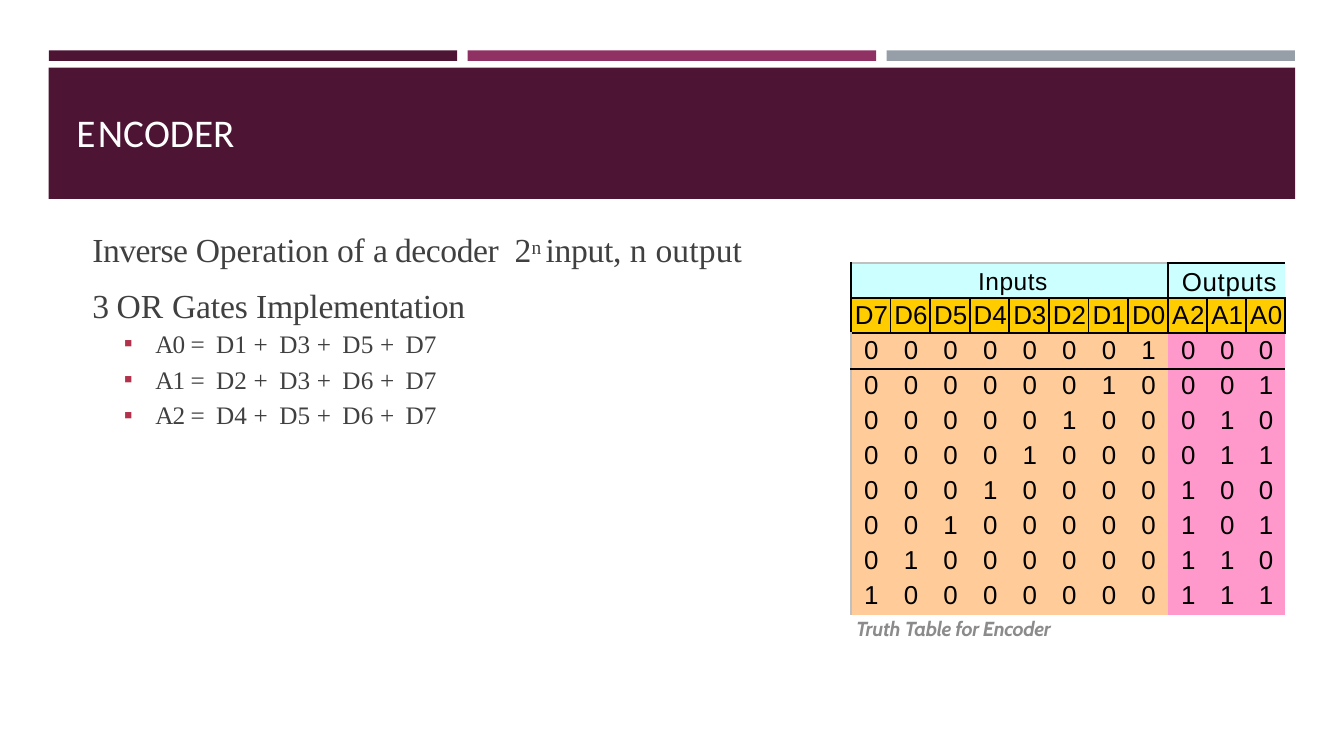
from dataclasses import dataclass
from typing import NamedTuple

from lxml.etree import SubElement
from pptx import Presentation
from pptx.dml.color import RGBColor
from pptx.enum.shapes import MSO_SHAPE
from pptx.enum.text import MSO_ANCHOR, PP_ALIGN
from pptx.oxml.ns import qn
from pptx.util import Pt


@dataclass(frozen=True)
class Theme:
    plum: str = "4D1434"
    magenta: str = "903163"
    slate: str = "969FA7"
    white: str = "FFFFFF"
    body: str = "404040"
    bullet: str = "B2324B"
    caption: str = "8B8B8B"
    black: str = "000000"
    light_edge: str = "C0C0C0"
    group_fill: str = "CCFFFF"
    name_fill: str = "FFCC00"
    input_fill: str = "FFCC99"
    output_fill: str = "FF99CC"
    title_size: float = 28
    body_size: float = 24
    equation_size: float = 18
    inputs_size: float = 17.5
    table_size: float = 18.5
    caption_size: float = 14.5


THEME = Theme()


class Block(NamedTuple):
    left: float
    top: float
    width: float
    height: float
    fill: str = ""


class Span(NamedTuple):
    text: str
    tracking: float = 0
    raised: int = 0


@dataclass
class Line:
    spans: list[Span]
    size: float
    font: str
    color: str
    before: float = 0
    spacing: float | None = None
    margin: float = 0
    hanging: float = 0
    bullet: str = ""
    align: PP_ALIGN = PP_ALIGN.LEFT
    emphasis: bool = False


def write_line(para, line: Line) -> None:
    formats = {"alignment": line.align, "space_before": Pt(line.before),
               "line_spacing": line.spacing}
    for name, value in formats.items():
        setattr(para, name, value)
    properties = para._p.get_or_add_pPr()
    properties.set("marL", str(Pt(line.margin)))
    properties.set("indent", str(Pt(-line.hanging)))
    if line.bullet:
        tint = SubElement(properties, qn("a:buClr"))
        SubElement(tint, qn("a:srgbClr"), val=THEME.bullet)
        SubElement(properties, qn("a:buFont"), typeface=line.font)
        SubElement(properties, qn("a:buChar"), char=line.bullet)
    for span in line.spans:
        run = para.add_run()
        run.text = span.text
        run.font.color.rgb = RGBColor.from_string(line.color)
        formats = {"size": Pt(line.size), "name": line.font,
                   "bold": line.emphasis, "italic": line.emphasis}
        for name, value in formats.items():
            setattr(run.font, name, value)
        run_properties = run._r.get_or_add_rPr()
        run_properties.set("spc", str(round(span.tracking * 100)))
        if span.raised:
            run_properties.set("baseline", str(span.raised * 1000))


def set_margins(target, top: float) -> None:
    margins = {"margin_left": 0, "margin_top": top, "margin_right": 0, "margin_bottom": 0}
    for name, value in margins.items():
        setattr(target, name, Pt(value))


def add_block(page, block: Block) -> None:
    shape = page.shapes.add_shape(MSO_SHAPE.RECTANGLE, *map(Pt, block[:4]))
    shape.shadow.inherit = False
    shape.fill.solid()
    shape.fill.fore_color.rgb = RGBColor.from_string(block.fill)
    shape.line.fill.background()


def add_text(page, place: Block, lines: list[Line], top: float = 1,
             anchor: MSO_ANCHOR = MSO_ANCHOR.TOP) -> None:
    box = page.shapes.add_textbox(*map(Pt, place[:4]))
    frame = box.text_frame
    frame.word_wrap = True
    frame.vertical_anchor = anchor
    set_margins(frame, top)
    for index, line in enumerate(lines):
        write_line(frame.add_paragraph() if index else frame.paragraphs[0], line)


def style_cell(cell, fill: str, edges: dict[str, str], top: float) -> None:
    set_margins(cell, top)
    properties = cell._tc.get_or_add_tcPr()
    for side in "LRTB":
        if side in edges:
            edge = SubElement(properties, qn(f"a:ln{side}"), w=str(Pt(1.5)))
            paint = SubElement(edge, qn("a:solidFill"))
            SubElement(paint, qn("a:srgbClr"), val=edges[side])
    cell.fill.solid()
    cell.fill.fore_color.rgb = RGBColor.from_string(fill)


def table_line(text: str, **formats) -> Line:
    tracking = formats.pop("tracking", 0)
    settings = {"size": THEME.table_size, "font": "Arial", "color": THEME.black,
                "before": 1.9, "margin": 1, "align": PP_ALIGN.CENTER} | formats
    return Line([Span(text, tracking)], **settings)


def add_truth_table(page, inputs: int, outputs: int) -> None:
    columns = inputs + outputs
    widths = [28.3] * (columns - 2) + [27.4, 28.3]
    heights = [25.1, 25.1, 25.9] + [25.1] * (inputs - 2) + [24.8]
    frame = page.shapes.add_table(len(heights), columns, Pt(607.8), Pt(187.8),
                                  Pt(sum(widths)), Pt(sum(heights)))
    table = frame.table
    table.first_row = table.horz_banding = False
    table._tbl.tblPr.find(qn("a:tableStyleId")).text = "{2D5ABB26-0587-4C30-8999-92F81FD0307C}"
    for column, width in zip(table.columns, widths):
        column.width = Pt(width)
    for row, height in zip(table.rows, heights):
        row.height = Pt(height)

    # Group headings
    for column in range(columns):
        is_input = column < inputs
        edges = {"T": THEME.light_edge if is_input else THEME.black, "B": THEME.black}
        if column in (0, inputs):
            edges["L"] = THEME.black
        if column in (inputs - 1, columns - 1):
            edges["R"] = THEME.black
        if column == 0:
            edges["R"] = THEME.black
        style_cell(table.cell(0, column), THEME.group_fill, edges, 3.6 if is_input else 2)
    table.cell(0, 0).merge(table.cell(0, inputs - 1))
    table.cell(0, inputs).merge(table.cell(0, columns - 1))
    write_line(table.cell(0, 0).text_frame.paragraphs[0], table_line(
        "Inputs", size=THEME.inputs_size, spacing=Pt(20.1), before=3.9, margin=5, tracking=0.4))
    write_line(table.cell(0, inputs).text_frame.paragraphs[0], table_line(
        "Outputs", spacing=Pt(22.2), margin=10, align=PP_ALIGN.LEFT, tracking=0.5))

    # Signal names
    names = [f"D{bit}" for bit in reversed(range(inputs))]
    names += [f"A{bit}" for bit in reversed(range(outputs))]
    for column, name in enumerate(names):
        cell = table.cell(1, column)
        style_cell(cell, THEME.name_fill, dict.fromkeys("LRTB", THEME.black), 2)
        write_line(cell.text_frame.paragraphs[0], table_line(
            name, tracking=0.5 if name in ("A2", "A0") else 0))

    # One active input per row, its number in binary as output
    for number in range(inputs):
        digits = f"{1 << number:0{inputs}b}{number:0{outputs}b}"
        for column, digit in enumerate(digits):
            edges = {"L": THEME.light_edge} if column == 0 else {}
            if number == 0:
                edges |= {"T": THEME.black, "B": THEME.black}
            fill = THEME.input_fill if column < inputs else THEME.output_fill
            cell = table.cell(number + 2, column)
            style_cell(cell, fill, edges, 1 if number else 2)
            write_line(cell.text_frame.paragraphs[0],
                       table_line(digit, before=0.8 if number else 1.9))


def equation(output: int, inputs: int) -> Line:
    spans = [Span(f"A{output} ", -0.7)]
    terms = [number for number in range(inputs) if number >> output & 1]
    for index, number in enumerate(terms):
        spans.append(Span("+ " if index else "= ", 1.8))
        spans.append(Span(f"D{number}" + (" " if number != terms[-1] else ""), 0.1))
    return Line(spans, THEME.equation_size, "Times New Roman", THEME.body,
                before=3.9 if output else 2.3, margin=48, hanging=22.5, bullet="▪")


def main() -> None:
    deck = Presentation()
    deck.slide_width, deck.slide_height = Pt(960), Pt(540)
    page = deck.slides.add_slide(deck.slide_layouts[6])

    # Top bars and title banner
    for index, fill in enumerate((THEME.plum, THEME.magenta, THEME.slate)):
        add_block(page, Block(34.9 + index * 299.2, 36, 291.7, 7.5, fill))
    add_block(page, Block(34.8, 48.4, 890.4, 93.7, THEME.plum))
    title = [Span("E", 1.7), Span("N", -0.1), Span("C", -1.8), Span("O", -0.1),
             Span("D", -0.5), Span("E", -1.8), Span("R")]
    add_text(page, Block(53.6, 75.6, 160, 35.3),
             [Line(title, THEME.title_size, "Calibri", THEME.white, before=1, margin=1)],
             anchor=MSO_ANCHOR.BOTTOM)

    # Explanation and equations
    operation = [Span("Inverse ", -0.4), Span("Operation of ", -0.1), Span("a ", -0.9),
                 Span("decoder", -0.3), Span(" ", 5.4), Span("2", -0.3), Span("n ", -0.4, 24),
                 Span("input, ", -0.2), Span("n ", 0.2), Span("output", 0.1)]
    gates = [Span("3 ", -0.8), Span("OR ", 0.1), Span("Gates ", -0.1),
             Span("Implementation", -0.2)]
    body = (THEME.body_size, "Times New Roman", THEME.body)
    add_text(page, Block(63, 151.2, 494, 157),
             [Line(operation, *body, before=0.9, spacing=1.39, margin=3),
              Line(gates, *body, before=11.2, margin=3),
              *(equation(output, 8) for output in range(3))])

    # Truth table and caption
    add_truth_table(page, 8, 3)
    add_text(page, Block(610.6, 439.2, 168.5, 18.7),
             [Line([Span("Truth ", -0.2), Span("Table for Encoder", -0.3)], THEME.caption_size,
                   "Cabin", THEME.caption, before=1.3, margin=1, emphasis=True)], top=1.3)

    deck.save("out.pptx")


if __name__ == "__main__":
    main()
